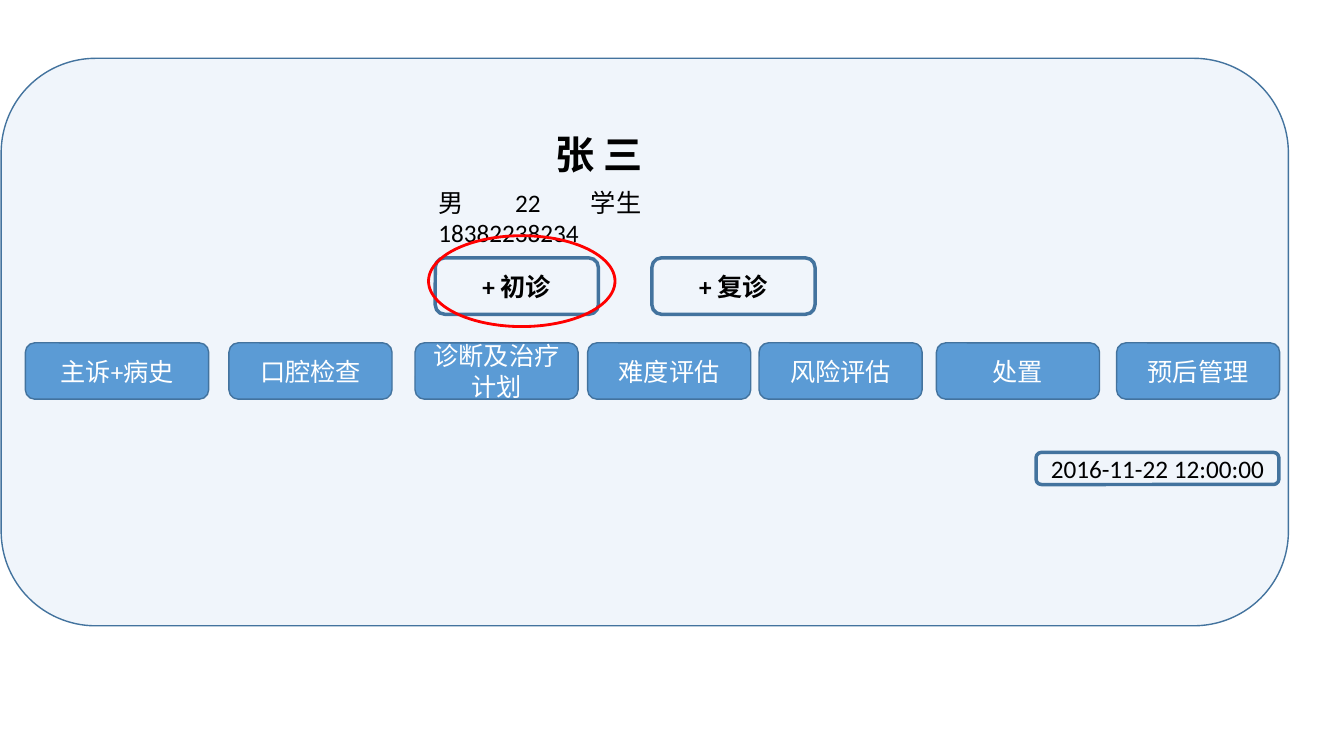
"""Build the patient visit slide with its actions and treatment steps."""
from lxml.etree import SubElement
from pptx import Presentation
from pptx.dml.color import RGBColor
from pptx.enum.shapes import MSO_SHAPE as Shape
from pptx.enum.text import MSO_ANCHOR as Anchor, PP_ALIGN as Align
from pptx.oxml.ns import qn
from pptx.util import Cm, Pt

NAME = "张 三"
DETAILS = "男\t22\t学生\v18382238234"
DETAIL_TABS = (1.93, 3.84)
VISITS = [("+ 初诊", 10.97), ("+ 复诊", 16.43)]
STEPS = [
    ("主诉+病史", 0.64, 4.62),
    ("口腔检查", 5.77, 4.11),
    ("诊断及治疗计划", 10.46, 4.11),
    ("难度评估", 14.81, 4.11),
    ("风险评估", 19.13, 4.11),
    ("处置", 23.6, 4.11),
    ("预后管理", 28.14, 4.11),
]
TIMESTAMP = "2016-11-22 12:00:00"

FONT = "Calibri"
BLUE, BORDER, RED = "5B9BD5", "43739E", "FF0000"
BLACK, WHITE = "000000", "FFFFFF"
BUTTON_WIDTH, BUTTON_HEIGHT = 4.11, 1.42
VISIT_TOP, STEP_TOP = 6.5, 8.64


def color(value):
    return RGBColor.from_string(value)


def write(shape, text, size=18, ink=BLACK, bold=False, align=Align.CENTER, anchor=Anchor.MIDDLE):
    frame = shape.text_frame
    frame.word_wrap = True
    frame.vertical_anchor = anchor
    paragraph = frame.paragraphs[0]
    paragraph.text = text
    paragraph.alignment = align
    for run in paragraph.runs:
        run.font.name = FONT
        run.font.size = Pt(size)
        run.font.bold = bold
        run.font.color.rgb = color(ink)
    return paragraph


def add_outline(shapes, kind, box, fill=None, line=BORDER, weight=1):
    shape = shapes.add_shape(kind, *map(Cm, box))
    shape.shadow.inherit = False
    if fill:
        shape.fill.solid()
        shape.fill.fore_color.rgb = color(fill)
    else:
        shape.fill.background()
    shape.line.color.rgb = color(line)
    shape.line.width = Pt(weight)
    return shape


def add_panel(slide):
    panel = add_outline(slide.shapes, Shape.ROUNDED_RECTANGLE, (0.03, 1.47, 32.44, 14.3), fill=BLUE)
    fill_color = panel.element.spPr.find(qn("a:solidFill"))[0]
    SubElement(fill_color, qn("a:alpha"), val="9000")
    slide.shapes.title.element.addprevious(panel.element)


def add_patient(slide):
    title = slide.shapes.title
    title.left, title.top, title.width, title.height = map(Cm, (11.73, 3.15, 6.76, 1.45))
    write(title, NAME, size=28, bold=True)
    details = slide.shapes.add_textbox(*map(Cm, (10.8, 4.6, 10, 1.02)))
    paragraph = write(details, DETAILS, align=Align.LEFT, anchor=Anchor.TOP)
    tabs = SubElement(paragraph._p.get_or_add_pPr(), qn("a:tabLst"))
    for position in DETAIL_TABS:
        SubElement(tabs, qn("a:tab"), pos=str(Cm(position)), algn="l")


def add_buttons(slide):
    for text, left in VISITS:
        box = (left, VISIT_TOP, BUTTON_WIDTH, BUTTON_HEIGHT)
        button = add_outline(slide.shapes, Shape.ROUNDED_RECTANGLE, box, weight=2.5)
        write(button, text, bold=True)
    steps = slide.shapes.add_group_shape()
    for text, left, width in STEPS:
        box = (left, STEP_TOP, width, BUTTON_HEIGHT)
        step = add_outline(steps.shapes, Shape.ROUNDED_RECTANGLE, box, fill=BLUE)
        write(step, text, ink=WHITE)
    date = add_outline(slide.shapes, Shape.ROUNDED_RECTANGLE, (26.11, 11.4, 6.12, 0.81), weight=2.5)
    write(date, TIMESTAMP)
    add_outline(slide.shapes, Shape.OVAL, (10.8, 5.94, 4.7, 2.29), line=RED, weight=2)


def main():
    presentation = Presentation()
    presentation.slide_width, presentation.slide_height = Cm(33.87), Cm(19.05)
    slide = presentation.slides.add_slide(presentation.slide_layouts[5])
    add_panel(slide)
    add_patient(slide)
    add_buttons(slide)
    presentation.save("out.pptx")


if __name__ == "__main__":
    main()
